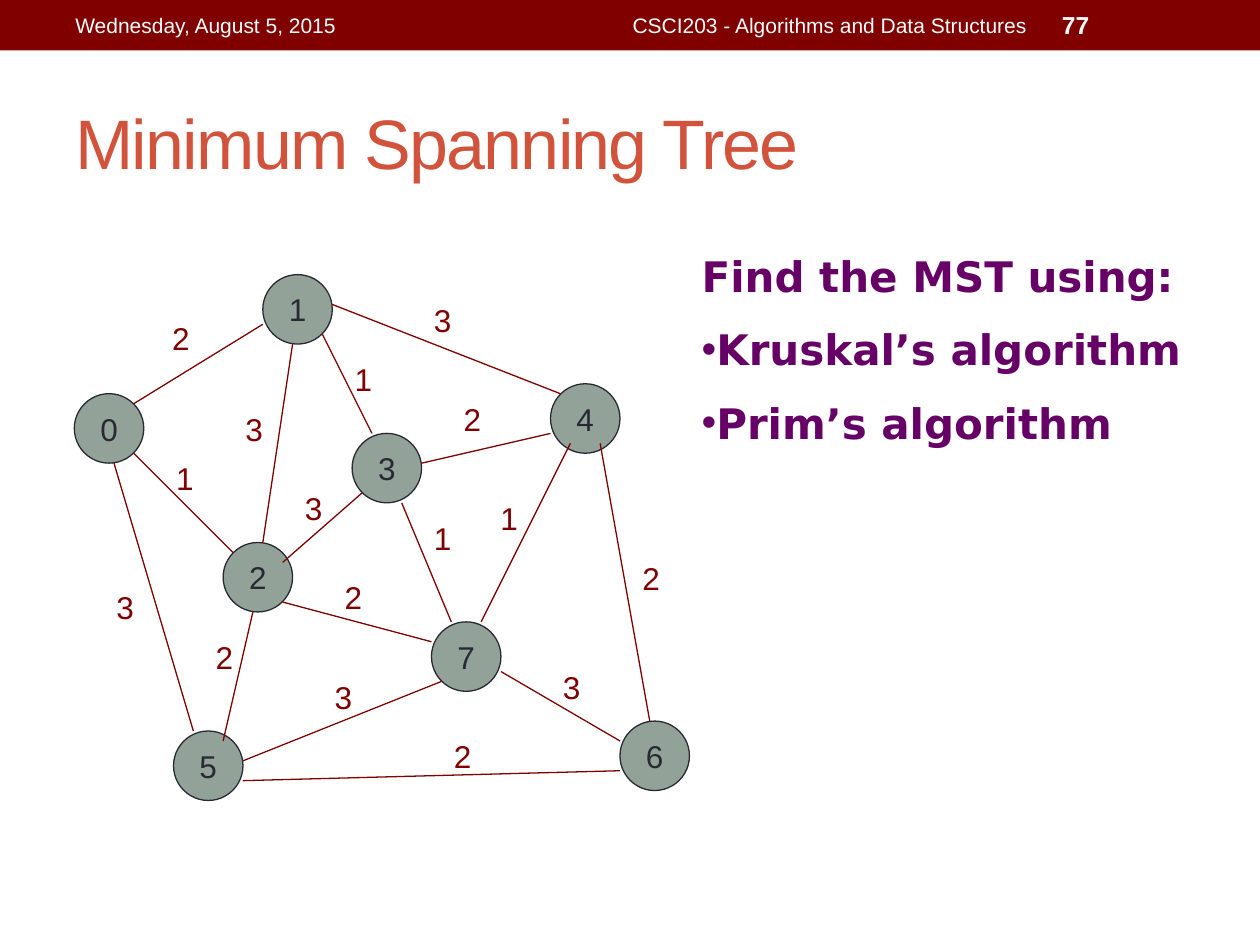
from lxml import etree
from pptx import Presentation
from pptx.dml.color import RGBColor
from pptx.enum.shapes import MSO_CONNECTOR, MSO_SHAPE
from pptx.enum.text import MSO_ANCHOR, PP_ALIGN
from pptx.oxml.ns import qn
from pptx.util import Inches, Mm, Pt

RECTANGLE, OVAL = MSO_SHAPE.RECTANGLE, MSO_SHAPE.OVAL
STRAIGHT = MSO_CONNECTOR.STRAIGHT
TOP, MIDDLE = MSO_ANCHOR.TOP, MSO_ANCHOR.MIDDLE
LEFT, CENTER, RIGHT = PP_ALIGN.LEFT, PP_ALIGN.CENTER, PP_ALIGN.RIGHT

CELL = Mm(2)
GRAPH_LEFT, GRAPH_TOP = Inches(0.59), Inches(2.18)
NODE_SPAN = 7

NODES = {
    "6": (55, 45), "0": (0, 12), "1": (19, 0), "3": (28, 16),
    "2": (15, 27), "5": (10, 46), "7": (36, 35), "4": (48, 11),
}

# start, end, weight, weight position
EDGES = [
    ((6, 13), (19, 5), "2", (8.6, 3.8)),
    ((22, 7), (19, 27), "3", (16, 13)),
    ((4, 19), (12, 46), "3", (3, 31)),
    ((6, 18), (16, 28), "1", (9, 18)),
    ((25, 6), (30, 16), "1", (27, 8)),
    ((21, 29), (29, 22), "3", (22, 21)),
    ((26, 3), (49, 12), "3", (35, 2)),
    ((35, 19), (48, 16), "2", (38, 12)),
    ((33, 23), (38, 35), "1", (35, 24)),
    ((41, 35), (50, 17), "1", (41.7, 22)),
    ((43, 40), (55, 47), "3", (48, 39)),
    ((58, 45), (53, 17), "2", (56, 28)),
    ((18, 34), (15, 47), "2", (13, 36)),
    ((21, 33), (36, 37), "2", (26, 30)),
    ((17, 49), (37, 41), "3", (25, 40)),
    ((17, 51), (55, 50), "2", (37, 46)),
]


def color(value):
    return RGBColor.from_string(value)


class GraphSlide:
    font = "Arial"
    maroon, ink, node_fill = "800000", "292934", "93A299"
    coral, purple, white = "D2533C", "660066", "FFFFFF"

    def __init__(self, deck):
        self.width, self.height = deck.slide_width, deck.slide_height
        self.slide = deck.slides.add_slide(deck.slide_layouts[6])
        self.shapes = self.slide.shapes

    def percent(self, left, top, width, height):
        return [round(share * whole / 100) for share, whole in (
            (left, self.width), (top, self.height),
            (width, self.width), (height, self.height))]

    def point(self, column, row):
        return GRAPH_LEFT + round(column * CELL), GRAPH_TOP + round(row * CELL)

    def cells(self, position, columns, rows):
        return *self.point(*position), round(columns * CELL), round(rows * CELL)

    def format(self, paragraph, size, ink, bold=False, font=None, align=LEFT):
        paragraph.alignment = align
        for run in paragraph.runs:
            run.font.name = font or self.font
            run.font.size = Pt(size)
            run.font.bold = bold
            run.font.color.rgb = color(ink)

    def text(self, box, words, size, ink, bold=False, align=LEFT,
             anchor=MIDDLE, wrap=True):
        frame = self.shapes.add_textbox(*box).text_frame
        frame.word_wrap = wrap
        frame.vertical_anchor = anchor
        frame.text = words
        self.format(frame.paragraphs[0], size, ink, bold, align=align)
        return frame

    def shape(self, preset, box, fill, outline=None):
        shape = self.shapes.add_shape(preset, *box)
        shape.shadow.inherit = False
        shape.fill.solid()
        shape.fill.fore_color.rgb = color(fill)
        if outline:
            shape.line.color.rgb = color(outline)
            shape.line.width = Pt(0.75)
        else:
            shape.line.fill.background()
        return shape

    def title(self, box, words):
        frame = self.text(box, words, 40, self.coral)
        frame.paragraphs[0].runs[0].font._element.set("spc", "-100")

    def tasks(self, box, heading, items):
        frame = self.text(box, heading, 24, self.purple, anchor=TOP)
        for item in items:
            paragraph = frame.add_paragraph()
            paragraph.text = item
            paragraph.space_before = Pt(13)
            properties = paragraph._p.get_or_add_pPr()
            etree.SubElement(properties, qn("a:buFont")).set("typeface", self.font)
            etree.SubElement(properties, qn("a:buChar")).set("char", "•")
        for paragraph in frame.paragraphs:
            self.format(paragraph, 24, self.purple, True, "DejaVu Sans")

    def node(self, name, position):
        box = self.cells(position, NODE_SPAN, NODE_SPAN)
        frame = self.shape(OVAL, box, self.node_fill, self.ink).text_frame
        frame.word_wrap = False
        frame.vertical_anchor = MIDDLE
        frame.text = name
        self.format(frame.paragraphs[0], 18, self.ink, align=CENTER)

    def edge(self, start, end):
        line = self.shapes.add_connector(
            STRAIGHT, *self.point(*start), *self.point(*end))
        line.line.color.rgb = color(self.maroon)
        line.line.width = Pt(0.75)
        etree.SubElement(line._element.spPr, qn("a:effectLst"))

    def weight(self, value, position):
        self.text(self.cells(position, 4.3, 5.1), value, 18, self.maroon,
                  anchor=TOP, wrap=False)


def main():
    deck = Presentation()
    deck.slide_width, deck.slide_height = Inches(10), Inches(7.5)
    page = GraphSlide(deck)

    page.shape(RECTANGLE, page.percent(0, 0, 100, 5.33), page.maroon)
    page.title(page.percent(5, 7.73, 90, 14.4), "Minimum Spanning Tree")
    page.tasks(page.percent(54.7, 25.87, 42.5, 22.67), "Find the MST using:",
               ["Kruskal’s algorithm", "Prim’s algorithm"])

    for name, position in NODES.items():
        page.node(name, position)
    for start, end, _, _ in EDGES:
        page.edge(start, end)
    for _, _, value, position in EDGES:
        page.weight(value, position)

    for left, width, words, size, bold, align in (
            (5, 31.7, "Wednesday, August 5, 2015", 12, False, LEFT),
            (37.5, 45, "CSCI203 - Algorithms and Data Structures", 12, False, RIGHT),
            (83.3, 11.7, "77", 14, True, LEFT)):
        page.text(page.percent(left, 0.27, width, 4.8), words, size,
                  page.white, bold, align)

    deck.save("out.pptx")


if __name__ == "__main__":
    main()
